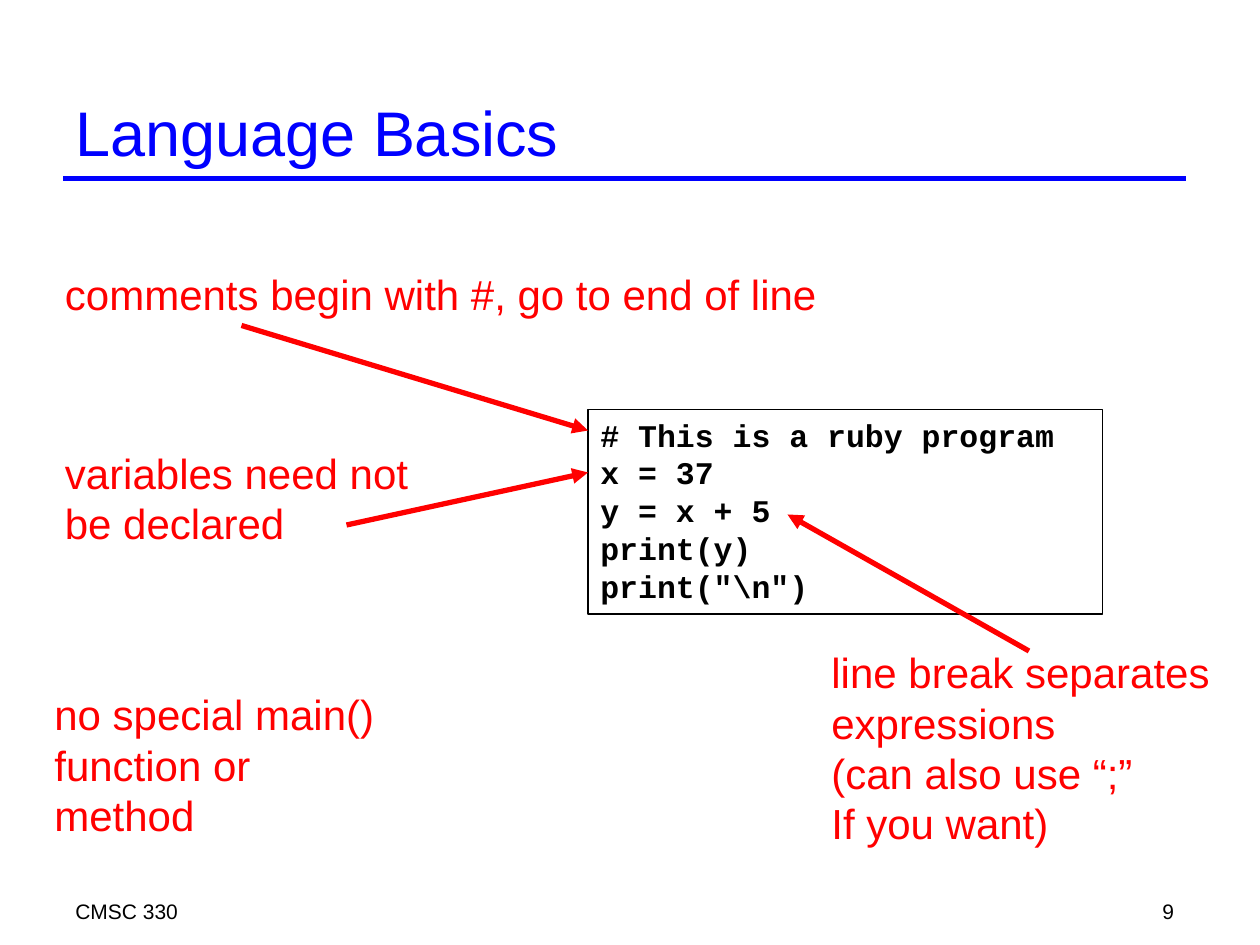
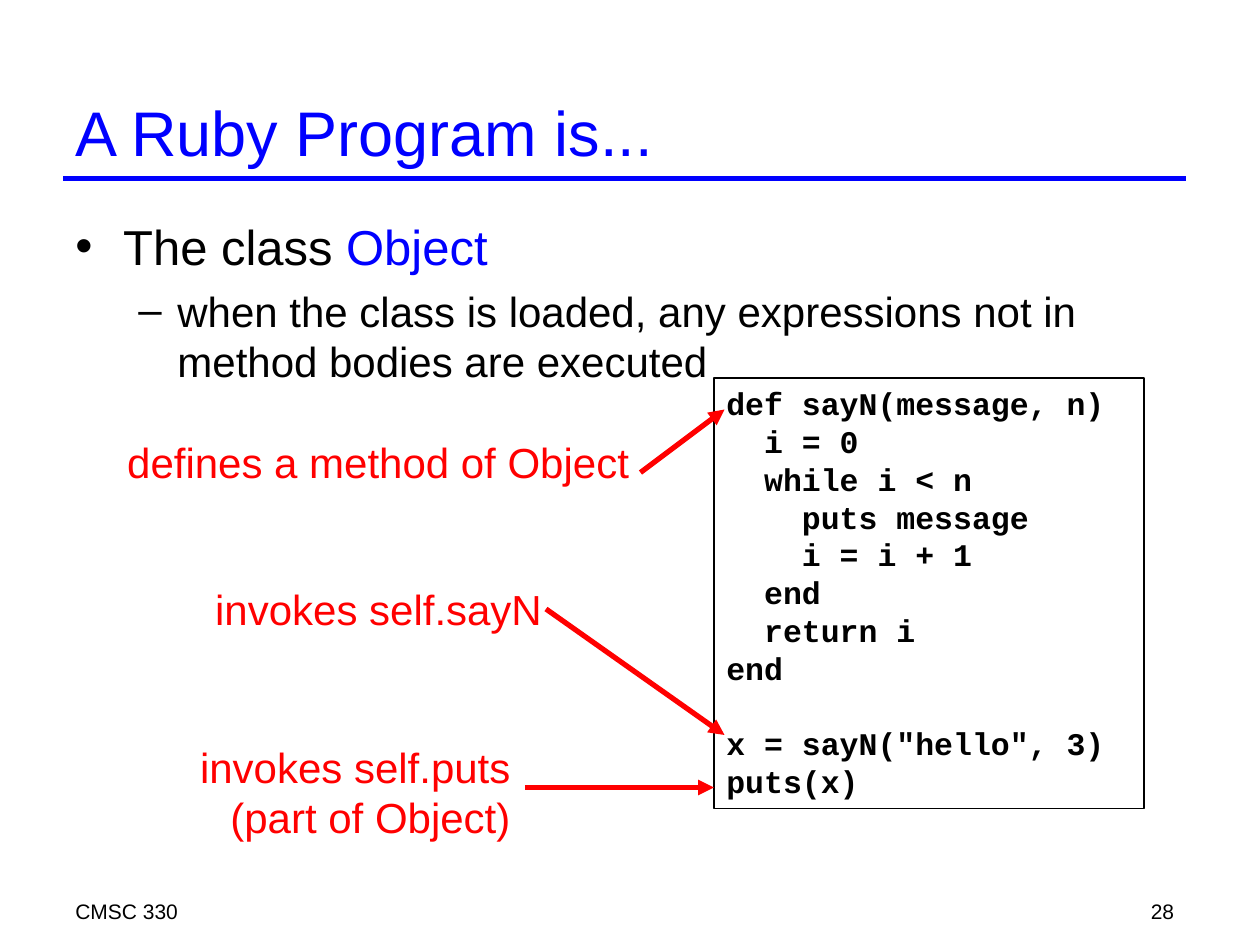
from lxml import etree
from pptx import Presentation
from pptx import util as u
from pptx.dml.color import RGBColor
from pptx.enum import shapes, text
from pptx.oxml.ns import qn

COLORS = {"accent": "0000FF", "note": "FF0000", "ink": "000000"}
SANS, MONO = "Arial", "Courier New"
WIDTH, HEIGHT = u.Inches(10), u.Inches(7.5)
COLUMNS, ROWS = 120, 90
LEADING = 1.2
NOTE_SIZE, CODE_SIZE = 24, 18
CODE_CHARACTER = u.Pt(CODE_SIZE * 0.6)
LEFT, RIGHT = text.PP_ALIGN.LEFT, text.PP_ALIGN.RIGHT


class SlideWriter:
    def __init__(self, deck):
        self.deck = deck
        self.page = None

    def x(self, columns):
        return round(WIDTH * columns / COLUMNS)

    def y(self, rows):
        return round(HEIGHT * rows / ROWS)

    def area(self, left, top, width, height):
        return self.x(left), self.y(top), self.x(width), self.y(height)

    def color(self, name):
        return RGBColor.from_string(COLORS[name])

    def style(self, para, size, color, face=SANS, bold=False, align=LEFT):
        para.alignment = align
        para.line_spacing = u.Pt(size * LEADING)
        for span in para.runs:
            span.font.name = face
            span.font.size = u.Pt(size)
            span.font.bold = bold
            span.font.color.rgb = self.color(color)

    def indent(self, para, margin, hanging=0, bullet=None):
        properties = para._p.get_or_add_pPr()
        properties.set("marL", str(int(margin)))
        properties.set("indent", str(-int(hanging)))
        if bullet:
            etree.SubElement(properties, qn("a:buFont")).set("typeface", SANS)
            etree.SubElement(properties, qn("a:buChar")).set("char", bullet)

    def text(self, content, area, size, color="ink", align=LEFT, wrap=True,
             anchor=text.MSO_ANCHOR.TOP):
        box = self.page.shapes.add_textbox(*self.area(*area))
        frame = box.text_frame
        frame.text = content
        frame.word_wrap = wrap
        frame.vertical_anchor = anchor
        for para in frame.paragraphs:
            self.style(para, size, color, align=align)
        return frame

    def line(self, start, end, color, arrow=False):
        line = self.page.shapes.add_connector(
            shapes.MSO_CONNECTOR.STRAIGHT,
            self.x(start[0]), self.y(start[1]), self.x(end[0]), self.y(end[1]))
        line.line.color.rgb = self.color(color)
        line.line.width = u.Pt(3)
        if arrow:
            outline = line.line._get_or_add_ln()
            etree.SubElement(outline, qn("a:tailEnd")).set("type", "triangle")
        etree.SubElement(line._element.spPr, qn("a:effectLst"))

    def start(self, title, number):
        self.page = self.deck.slides.add_slide(self.deck.slide_layouts[6])
        self.line((6, 17), (113, 17), "accent")
        self.text("CMSC 330", (6, 85, 73, 3), 12)
        self.text(str(number), (88, 85, 25, 3), 12, align=RIGHT)
        self.text(title, (6, 8, 107, 9), 36, "accent",
                  anchor=text.MSO_ANCHOR.MIDDLE)

    def note(self, content, left, top, width, align=LEFT):
        lines = content.count("\n") + 1
        self.text(content, (left, top, width, 4.8 * lines + 1.2), NOTE_SIZE,
                  "note", align, wrap=False)

    def arrow(self, start, end):
        self.line(start, end, "note", arrow=True)

    def code(self, blocks, area):
        box = self.page.shapes.add_shape(shapes.MSO_SHAPE.RECTANGLE,
                                         *self.area(*area))
        box.shadow.inherit = False
        box.fill.background()
        box.line.color.rgb = self.color("ink")
        box.line.width = u.Pt(1)
        frame = box.text_frame
        frame.word_wrap = True
        frame.vertical_anchor = text.MSO_ANCHOR.TOP
        lines = [line for block in blocks for line in block]
        frame.text = "\n".join(content for depth, content in lines)
        block_starts = [block[0] for block in blocks[1:]]
        for para, line in zip(frame.paragraphs, lines):
            self.style(para, CODE_SIZE, "ink", MONO, bold=True)
            self.indent(para, 2 * line[0] * CODE_CHARACTER)
            if line in block_starts:
                para.space_before = u.Pt(CODE_SIZE * LEADING)


def language_basics(writer):
    writer.start("Language Basics", 9)
    writer.code([[(0, "# This is a ruby program"), (0, "x = 37"),
                  (0, "y = x + 5"), (0, "print(y)"), (0, 'print("\\n")')]],
                (56, 39, 49, 19.5))
    writer.note("comments begin with #, go to end of line", 5, 25, 74)
    writer.arrow((23, 31), (56, 41))
    writer.note("variables need not\nbe declared", 5, 42, 35.2)
    writer.arrow((33, 50), (56, 45))
    writer.note("line break separates\nexpressions\n"
                "(can also use “;”\nIf you want)", 78, 61, 38.5)
    writer.arrow((98, 62), (75, 49))
    writer.note("no special main()\nfunction or\nmethod", 4, 65, 32.9)


def ruby_program(writer):
    writer.start("A Ruby Program is...", 28)
    body = writer.text("The class \nwhen the class is loaded, any expressions "
                       "not in method bodies are executed",
                       (6, 20, 107, 64), 28)
    topic, detail = body.paragraphs
    topic.add_run().text = "Object"
    writer.style(topic, 28, "ink")
    topic.runs[1].font.color.rgb = writer.color("accent")
    writer.indent(topic, u.Inches(0.38), u.Inches(0.38), "•")
    detail.level = 1
    detail.space_before = u.Pt(5.8)
    writer.style(detail, 24, "ink")
    writer.indent(detail, u.Inches(0.81), u.Inches(0.31), "–")
    writer.code([[(0, "def sayN(message, n)"), (1, "i = 0"),
                  (1, "while i < n"), (2, "puts message"), (2, "i = i + 1"),
                  (1, "end"), (1, "return i"), (0, "end")],
                 [(0, 'x = sayN("hello", 3)'), (0, "puts(x)")]],
                (68, 36, 41, 41))
    writer.note("defines a method of Object", 10.8, 41, 50.3, RIGHT)
    writer.arrow((61, 45), (69, 39))
    writer.note("invokes self.sayN", 19.2, 55, 33.6, RIGHT)
    writer.arrow((52, 58), (69, 70))
    writer.note("invokes self.puts\n(part of Object)", 17.8, 70, 32, RIGHT)
    writer.arrow((50, 75), (68, 75))


def main():
    deck = Presentation()
    deck.slide_width, deck.slide_height = WIDTH, HEIGHT
    writer = SlideWriter(deck)
    language_basics(writer)
    ruby_program(writer)
    deck.save("out.pptx")


if __name__ == "__main__":
    main()
